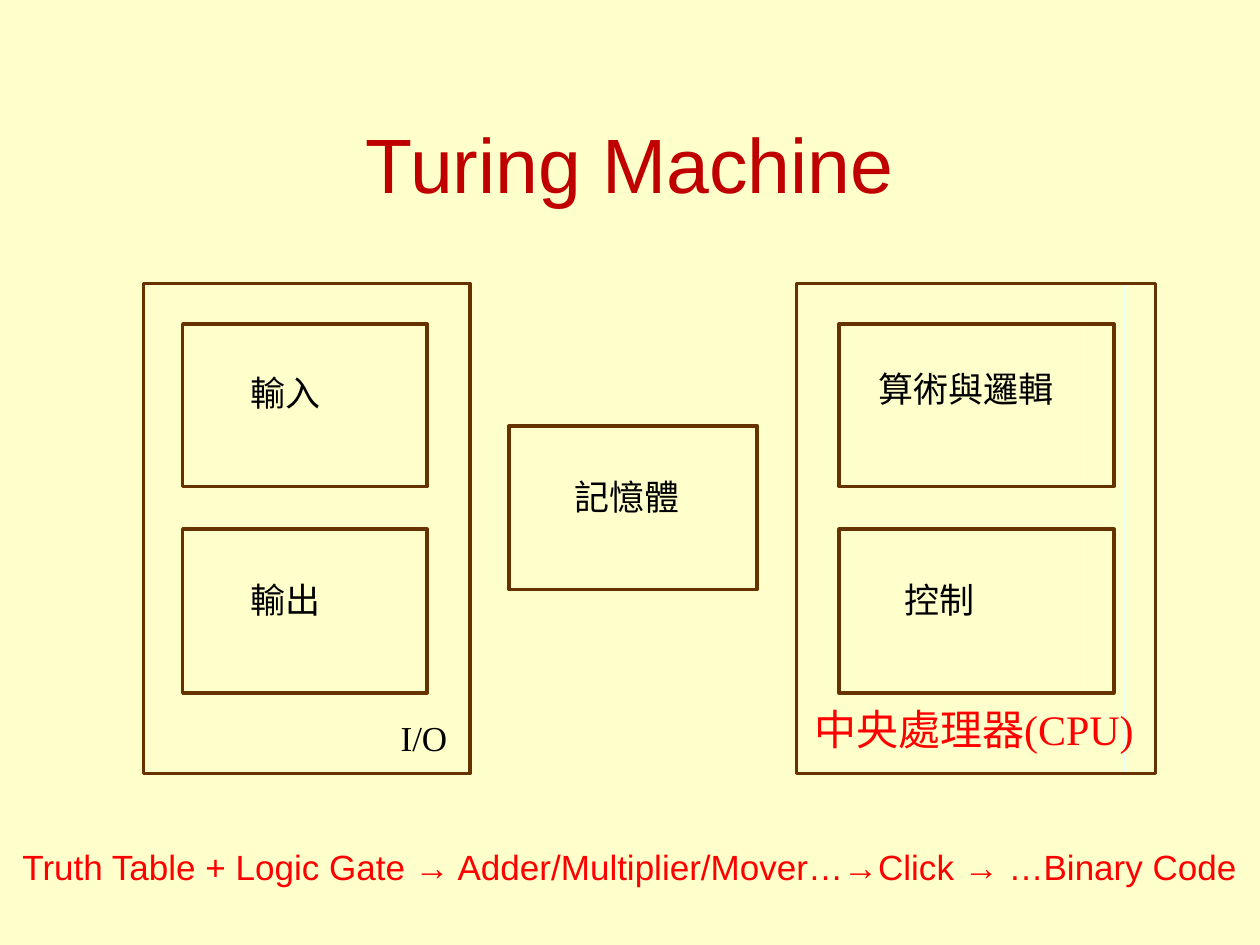
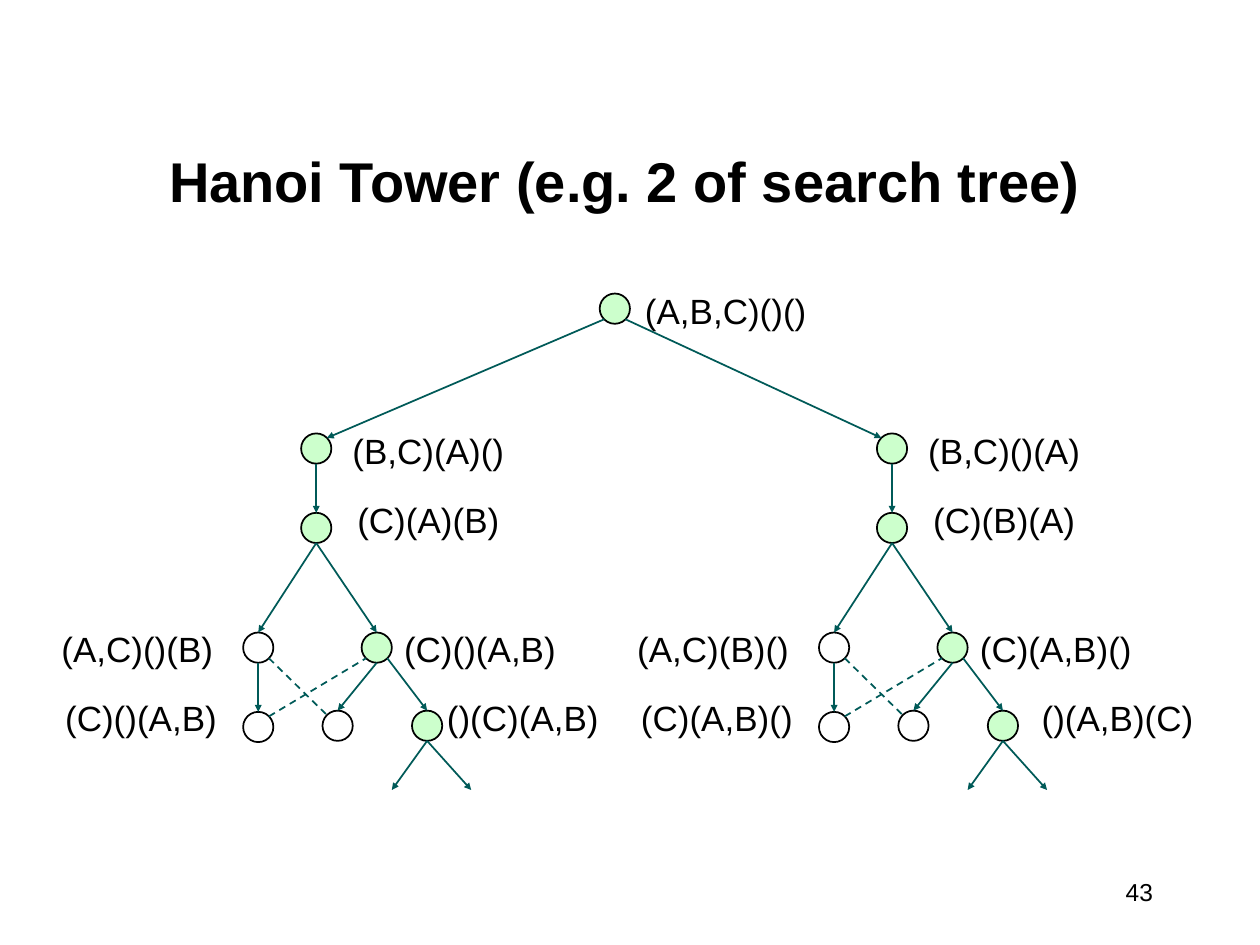
"""Build two slides: a Turing machine diagram and a Hanoi Tower search tree."""
from dataclasses import dataclass

from lxml import etree
from pptx import Presentation
from pptx.dml.color import RGBColor
from pptx.enum.dml import MSO_LINE
from pptx.enum.shapes import MSO_CONNECTOR, MSO_SHAPE
from pptx.enum.text import MSO_ANCHOR, MSO_AUTO_SIZE, PP_ALIGN
from pptx.oxml.ns import qn
from pptx.util import Inches, Pt

RECTANGLE, OVAL = MSO_SHAPE.RECTANGLE, MSO_SHAPE.OVAL
STRAIGHT, DASH = MSO_CONNECTOR.STRAIGHT, MSO_LINE.DASH
LEFT, CENTER, RIGHT = PP_ALIGN.LEFT, PP_ALIGN.CENTER, PP_ALIGN.RIGHT
TOP, MIDDLE, BOTTOM = MSO_ANCHOR.TOP, MSO_ANCHOR.MIDDLE, MSO_ANCHOR.BOTTOM
GROW, FIXED = MSO_AUTO_SIZE.SHAPE_TO_FIT_TEXT, MSO_AUTO_SIZE.NONE
TITLE_ONLY = 5


@dataclass(frozen=True)
class Theme:
    sans: str = "Arial"
    serif: str = "Times New Roman"
    cream: str = "FFFFCC"
    white: str = "FFFFFF"
    black: str = "000000"
    brown: str = "663300"
    ice: str = "E5FFFF"
    red: str = "FF0000"
    dark_red: str = "C00000"
    teal: str = "005A58"
    mint: str = "CCFFCC"
    machine_title: int = 44
    tree_title: int = 32
    unit: int = 24
    body: int = 20
    page: int = 14
    frame_line: int = 2
    thin_line: int = 1


THEME = Theme()

MACHINE_TITLE = "Turing Machine"
THIN_BOXES = [
    ((6.32, 2.25, 2.6, 3.89), THEME.ice),
    ((6.66, 2.57, 1.94, 1.29), THEME.white),
    ((6.66, 4.2, 1.94, 1.3), THEME.white),
]
MACHINE_BOXES = [
    (6.32, 2.25, 2.85, 3.89),
    (1.14, 2.25, 2.59, 3.89),
    (1.45, 2.57, 1.94, 1.29),
    (1.45, 4.2, 1.94, 1.3),
    (4.04, 3.38, 1.97, 1.3),
    (6.66, 2.57, 2.18, 1.29),
    (6.66, 4.2, 2.18, 1.3),
]
MACHINE_LABELS = [
    ("I/O", (3.16, 5.69, 0.41, 0.33)),
    ("輸入", (1.97, 2.95, 0.6, 0.33)),
    ("輸出", (1.97, 4.59, 0.6, 0.33)),
    ("記憶體", (4.54, 3.77, 0.88, 0.33)),
    ("算術與邏輯", (6.95, 2.92, 1.44, 0.33)),
    ("控制", (7.16, 4.59, 0.6, 0.33)),
]
CPU_LABEL = ("中央處理器(CPU)", (6.4, 5.58, 2.66, 0.4))
MACHINE_SUMMARY = "Truth Table + Logic Gate → Adder/Multiplier/Mover…→Click → …Binary Code"

TREE_TITLE = "Hanoi Tower (e.g. 2 of search tree)"
PAGE_NUMBER = "43"
NODE_SIZE = 0.24
BRANCH_SHIFT = 4.57
ROOT = (4.76, 2.33)
ROOT_LABEL = ("(A,B,C)()()", (5, 2.25, 1.52, 0.44))
BRANCH_NODES = {
    "first": (2.39, 3.44, THEME.mint),
    "second": (2.39, 4.07, THEME.mint),
    "left": (1.93, 5.02, THEME.white),
    "right": (2.87, 5.02, THEME.mint),
    "left leaf": (1.93, 5.65, THEME.white),
    "middle leaf": (2.56, 5.64, THEME.white),
    "right leaf": (3.27, 5.64, THEME.mint),
}
BRANCH_ARROWS = [
    ("first", "bottom", "second", "top"),
    ("second", "bottom", "left", "top"),
    ("second", "bottom", "right", "top"),
    ("left", "bottom", "left leaf", "top"),
    ("right", "bottom", "middle leaf", "top"),
    ("right", "bottom right", "right leaf", "top"),
]
BRANCH_DASHES = [
    ("left leaf", "top right", "right", "bottom left"),
    ("left", "bottom right", "middle leaf", "top left"),
]
OPEN_ENDS = [(3.11, 6.27), (3.74, 6.27)]
LABEL_SIZE = (1.5, 0.44)
LABEL_PLACES = [
    (2.65, 3.36), (2.65, 3.91), (0.34, 4.93),
    (0.37, 5.48), (3.06, 4.93), (3.4, 5.48),
]
BRANCHES = [
    {"shift": 0, "root port": "bottom left", "first port": "top right", "last nudge": 0,
     "labels": ["(B,C)(A)()", "(C)(A)(B)", "(A,C)()(B)",
                "(C)()(A,B)", "(C)()(A,B)", "()(C)(A,B)"]},
    {"shift": BRANCH_SHIFT, "root port": "bottom right", "first port": "top left", "last nudge": 0.15,
     "labels": ["(B,C)()(A)", "(C)(B)(A)", "(A,C)(B)()",
                "(C)(A,B)()", "(C)(A,B)()", "()(A,B)(C)"]},
]
NEAR, FAR = 0.15, 0.85
PORTS = {
    "top": (0.5, 0), "bottom": (0.5, 1),
    "top left": (NEAR, NEAR), "top right": (FAR, NEAR),
    "bottom left": (NEAR, FAR), "bottom right": (FAR, FAR),
}


def color(value):
    return RGBColor.from_string(value)


def inches(values):
    return [Inches(value) for value in values]


def format_text(shape, text, size, ink, font=THEME.sans, align=CENTER, anchor=TOP,
                margins=(0.1, 0.05), wrap=False, fit=GROW, bold=False):
    frame = shape.text_frame
    frame.text = text
    frame.word_wrap = wrap
    frame.auto_size = fit
    frame.vertical_anchor = anchor
    frame.margin_left = frame.margin_right = Inches(margins[0])
    frame.margin_top = frame.margin_bottom = Inches(margins[1])
    paragraph = frame.paragraphs[0]
    paragraph.alignment = align
    style = paragraph.runs[0].font
    style.name, style.size, style.bold = font, Pt(size), bold
    style.color.rgb = color(ink)


def add_label(slide, text, place, size=THEME.body, ink=THEME.black, **options):
    box = slide.shapes.add_textbox(*inches(place))
    format_text(box, text, size, ink, **options)


def add_outline(slide, kind, place, ink, width, fill=None):
    shape = slide.shapes.add_shape(kind, *inches(place))
    shape.shadow.inherit = False
    if fill:
        shape.fill.solid()
        shape.fill.fore_color.rgb = color(fill)
    else:
        shape.fill.background()
    shape.line.color.rgb = color(ink)
    shape.line.width = Pt(width)


def add_edge(slide, start, end, dashed=False):
    edge = slide.shapes.add_connector(STRAIGHT, *inches((*start, *end)))
    edge.line.color.rgb = color(THEME.teal)
    edge.line.width = Pt(THEME.thin_line)
    properties = edge._element.spPr
    if dashed:
        edge.line.dash_style = DASH
    else:
        etree.SubElement(properties.find(qn("a:ln")), qn("a:tailEnd"),
                         type="triangle", w="sm", len="sm")
    etree.SubElement(properties, qn("a:effectLst"))


def add_node(slide, left, top, fill):
    add_outline(slide, OVAL, (left, top, NODE_SIZE, NODE_SIZE),
                THEME.black, THEME.thin_line, fill)


def port(node, name):
    across, down = PORTS[name]
    return node[0] + across * NODE_SIZE, node[1] + down * NODE_SIZE


def add_titled_slide(presentation, background, title, place, size, ink, **options):
    slide = presentation.slides.add_slide(presentation.slide_layouts[TITLE_ONLY])
    slide.background.fill.solid()
    slide.background.fill.fore_color.rgb = color(background)
    shape = slide.shapes.title
    shape.left, shape.top, shape.width, shape.height = inches(place)
    format_text(shape, title, size, ink, wrap=True, fit=FIXED, **options)
    return slide


def build_machine(presentation):
    slide = add_titled_slide(presentation, THEME.cream, MACHINE_TITLE, (0.75, 0.67, 8.5, 1.25),
                             THEME.machine_title, THEME.dark_red, anchor=MIDDLE)
    for place, ink in THIN_BOXES:
        add_outline(slide, RECTANGLE, place, ink, THEME.thin_line)
    for place in MACHINE_BOXES:
        add_outline(slide, RECTANGLE, place, THEME.brown, THEME.frame_line)
    for text, place in MACHINE_LABELS:
        add_label(slide, text, place, font=THEME.serif, margins=(0, 0))
    add_label(slide, *CPU_LABEL, THEME.unit, THEME.red, font=THEME.serif, margins=(0, 0))
    add_label(slide, MACHINE_SUMMARY, (0.08, 6.66, 9.9, 0.44), ink=THEME.red, align=LEFT)


def build_branch(slide, branch):
    shift = branch["shift"]
    nodes = {name: (left + shift, top, fill) for name, (left, top, fill) in BRANCH_NODES.items()}
    for node in nodes.values():
        add_node(slide, *node)
    add_edge(slide, port(ROOT, branch["root port"]), port(nodes["first"], branch["first port"]))
    for edges, dashed in ((BRANCH_ARROWS, False), (BRANCH_DASHES, True)):
        for source, source_port, target, target_port in edges:
            add_edge(slide, port(nodes[source], source_port),
                     port(nodes[target], target_port), dashed)
    for left, top in OPEN_ENDS:
        add_edge(slide, port(nodes["right leaf"], "bottom"), (left + shift, top))
    nudges = [0] * (len(LABEL_PLACES) - 1) + [branch["last nudge"]]
    for text, (left, top), nudge in zip(branch["labels"], LABEL_PLACES, nudges):
        add_label(slide, text, (left + shift + nudge, top, *LABEL_SIZE))


def build_tree(presentation):
    slide = add_titled_slide(presentation, THEME.white, TREE_TITLE, (0.67, 1, 8.58, 0.75),
                             THEME.tree_title, THEME.black, anchor=BOTTOM, bold=True)
    add_node(slide, *ROOT, THEME.mint)
    add_label(slide, *ROOT_LABEL)
    for branch in BRANCHES:
        build_branch(slide, branch)
    add_label(slide, PAGE_NUMBER, (8.58, 6.83, 0.67, 0.5), THEME.page,
              align=RIGHT, anchor=MIDDLE, fit=FIXED)


def main():
    presentation = Presentation()
    presentation.slide_width, presentation.slide_height = inches((10, 7.5))
    build_machine(presentation)
    build_tree(presentation)
    presentation.save("out.pptx")


if __name__ == "__main__":
    main()
